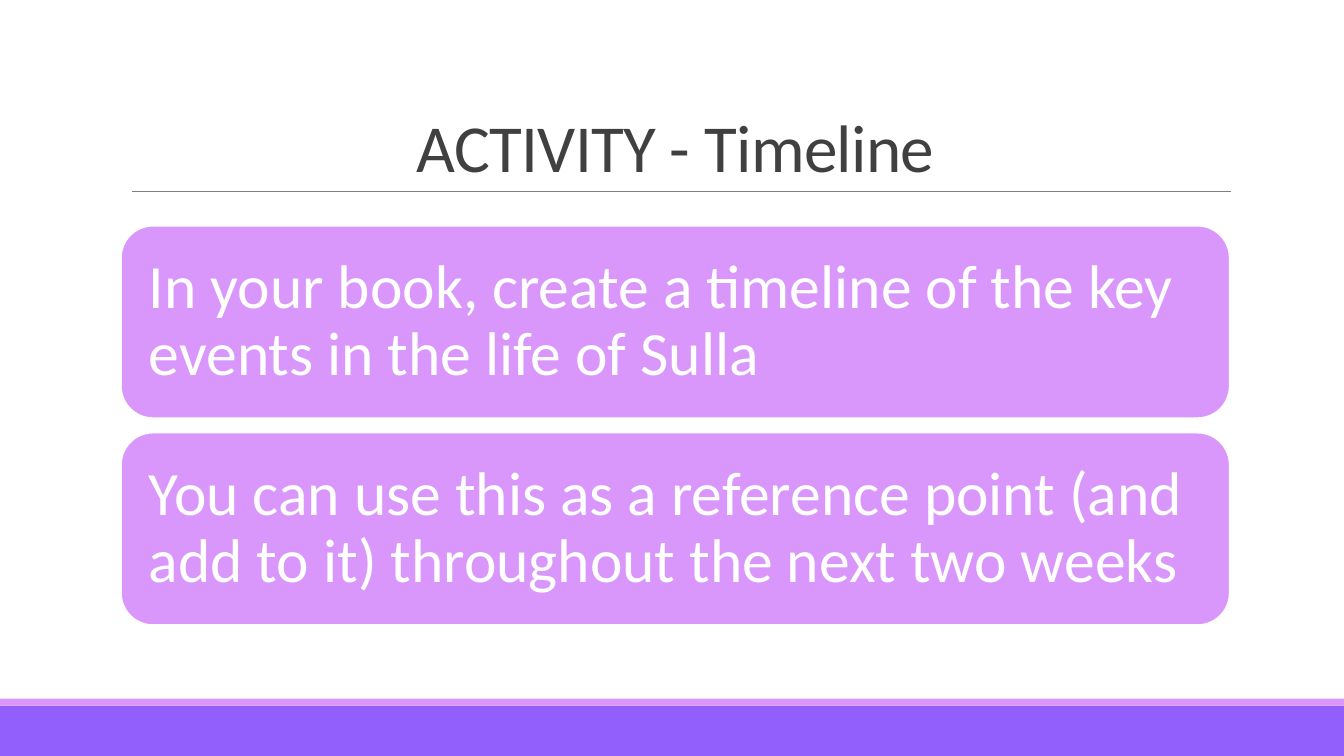
from pptx import Presentation
from pptx.dml.color import RGBColor
from pptx.enum.shapes import MSO_CONNECTOR as Connector, MSO_SHAPE as Shape
from pptx.enum.text import MSO_ANCHOR as Anchor, PP_ALIGN as Align
from pptx.oxml.ns import qn
from pptx.util import Pt
from lxml.etree import SubElement

COLOURS = {
    "white": "FFFFFF",
    "violet": "925FFD",
    "lilac": "DA97FB",
    "rule": "808080",
    "heading": "404040",
}
WIDTH, HEIGHT = 960, 540


class ActivitySlide:
    font = "Calibri"

    def __init__(self, deck):
        self.slide = deck.slides.add_slide(deck.slide_layouts[5])

    def colour(self, name):
        return RGBColor.from_string(COLOURS[name])

    def set_text(self, frame, text, size, colour, align, spacing):
        frame.word_wrap = True
        frame.text = text
        paragraph = frame.paragraphs[0]
        paragraph.alignment = align
        paragraph.line_spacing = spacing
        run = paragraph.runs[0]
        run.font.name = self.font
        run.font.size = Pt(size)
        run.font.color.rgb = self.colour(colour)
        return run

    def block(self, kind, left, top, width, height, fill):
        shape = self.slide.shapes.add_shape(
            kind, Pt(left), Pt(top), Pt(width), Pt(height))
        shape.shadow.inherit = False
        shape.fill.solid()
        shape.fill.fore_color.rgb = self.colour(fill)
        shape.line.fill.background()
        return shape

    def band(self, top, height, fill):
        self.block(Shape.RECTANGLE, 0, top, WIDTH, height, fill)

    def rule(self, left, right, y):
        line = self.slide.shapes.add_connector(
            Connector.STRAIGHT, Pt(left), Pt(y), Pt(right), Pt(y))
        line.line.color.rgb = self.colour("rule")
        line.line.width = Pt(0.5)
        SubElement(line._element.spPr, qn("a:effectLst"))

    def title(self, text, left, top, width, height):
        heading = self.slide.shapes.title
        heading.left, heading.top = Pt(left), Pt(top)
        heading.width, heading.height = Pt(width), Pt(height)
        frame = heading.text_frame
        frame.vertical_anchor = Anchor.BOTTOM
        run = self.set_text(frame, text, 48, "heading", Align.CENTER, 0.85)
        run._r.get_or_add_rPr().set("spc", "-50")

    def card(self, text, left, top, width, height):
        card = self.block(Shape.ROUNDED_RECTANGLE, left, top, width, height, "lilac")
        card.line.color.rgb = self.colour("white")
        card.line.width = Pt(1.25)
        frame = card.text_frame
        frame.margin_left = frame.margin_right = Pt(13.2)
        frame.margin_top = frame.margin_bottom = Pt(13.2)
        frame.vertical_anchor = Anchor.MIDDLE
        self.set_text(frame, text, 44, "white", Align.LEFT, 0.9)


def main():
    deck = Presentation()
    deck.slide_width, deck.slide_height = Pt(WIDTH), Pt(HEIGHT)
    activity = ActivitySlide(deck)
    activity.band(504, 36, "violet")
    activity.band(499, 5, "lilac")
    activity.rule(94.3, 879, 136.8)
    activity.title("ACTIVITY - Timeline", 86.4, 22.5, 792, 114.3)

    instructions = [
        "In your book, create a timeline of the key events in the life of Sulla",
        "You can use this as a reference point (and add to it) throughout the next two weeks",
    ]
    card_height, gap = 137.5, 10.3
    for index, instruction in enumerate(instructions):
        top = 161.2 + index * (card_height + gap)
        activity.card(instruction, 86.4, top, 792, card_height)

    deck.save("out.pptx")


if __name__ == "__main__":
    main()
